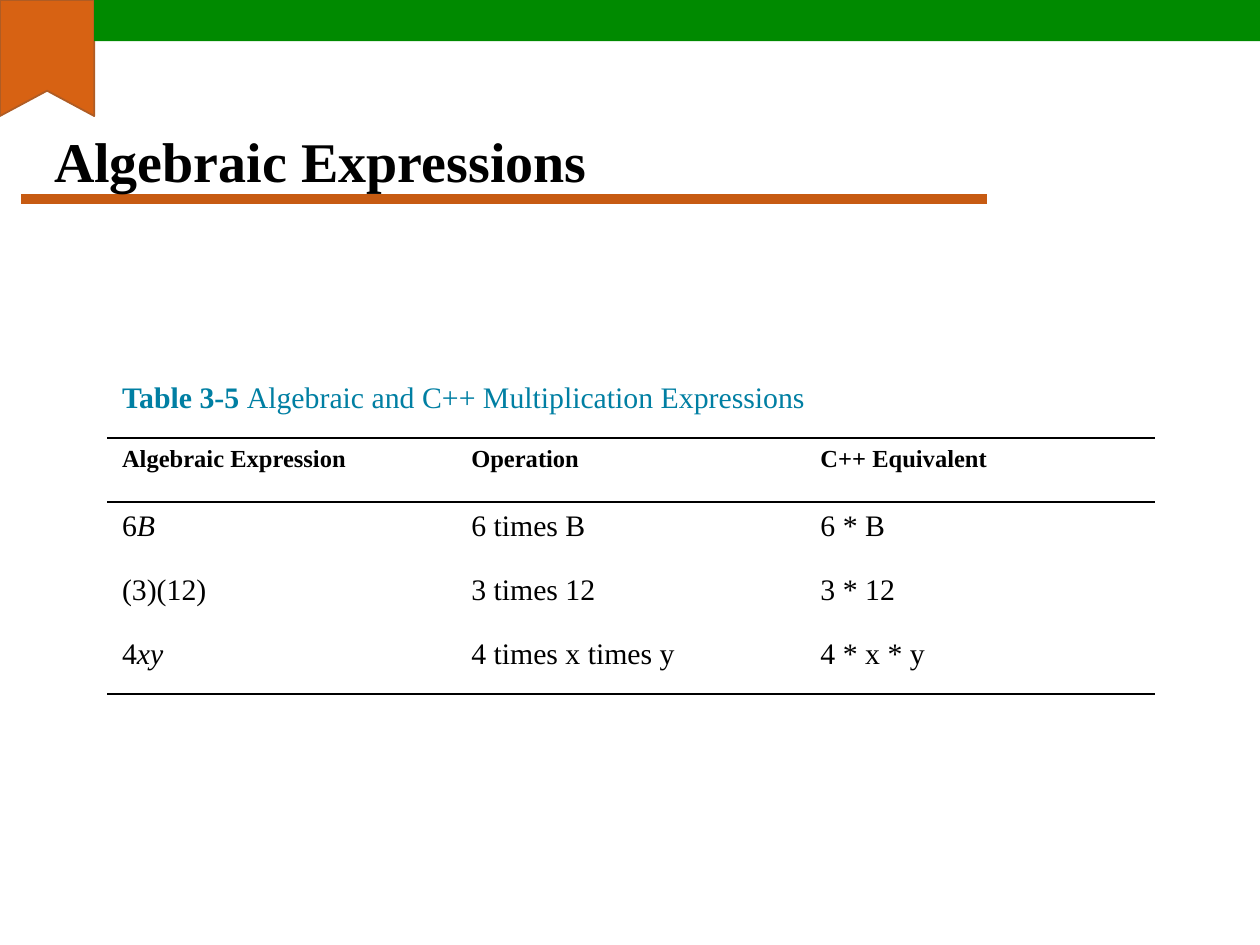
from dataclasses import dataclass

from lxml import etree
from pptx import Presentation
from pptx.dml.color import RGBColor
from pptx.enum.shapes import MSO_CONNECTOR, MSO_SHAPE
from pptx.enum.text import MSO_ANCHOR
from pptx.oxml.ns import qn
from pptx.util import Cm, Pt

STRAIGHT = MSO_CONNECTOR.STRAIGHT
RECTANGLE = MSO_SHAPE.RECTANGLE
MIDDLE = MSO_ANCHOR.MIDDLE


@dataclass(frozen=True)
class Theme:
    font: str = "Times New Roman"
    black: str = "000000"
    caption: str = "007FA3"
    bar: str = "008A00"
    ribbon: str = "D76213"
    ribbon_edge: str = "AF5C24"
    underline: str = "C75B12"
    title_size: int = 32
    body_size: int = 17
    header_size: int = 14


@dataclass(frozen=True)
class Span:
    text: str
    bold: bool = False
    italic: bool = False


THEME = Theme()

CAPTION = [Span("Table 3-5 ", bold=True),
           Span("Algebraic and C++ Multiplication Expressions")]
HEADERS = ["Algebraic Expression", "Operation", "C++ Equivalent"]
EXPRESSIONS = [
    [[Span("6"), Span("B", italic=True)], [Span("6 times B")], [Span("6 * B")]],
    [[Span("(3)(12)")], [Span("3 times 12")], [Span("3 * 12")]],
    [[Span("4"), Span("xy", italic=True)], [Span("4 times x times y")], [Span("4 * x * y")]],
]
ROWS = [[CAPTION], [[Span(header, bold=True)] for header in HEADERS], *EXPRESSIONS]
RULED_BELOW = {0, 1, len(ROWS) - 1}

RIBBON_WIDTH, RIBBON_HEIGHT, RIBBON_NOTCH = Cm(1.9), Cm(2.34), Cm(1.83)
COLUMN_WIDTH, ROW_HEIGHT = Cm(7.04), Cm(1.29)
CELL_FORMAT = {"margin_left": Cm(0.3), "margin_right": Cm(0.3),
               "margin_top": Cm(0.15), "margin_bottom": Cm(0.15)}


def write_spans(paragraph, spans: list[Span], size: int, color: str) -> None:
    for span in spans:
        run = paragraph.add_run()
        run.text = span.text
        font_format = {"name": THEME.font, "size": Pt(size),
                       "bold": span.bold, "italic": span.italic}
        for attribute, value in font_format.items():
            setattr(run.font, attribute, value)
        run.font.color.rgb = RGBColor.from_string(color)


def paint(shape, fill: str, edge: str | None = None) -> None:
    shape.shadow.inherit = False
    shape.fill.solid()
    shape.fill.fore_color.rgb = RGBColor.from_string(fill)
    if edge is None:
        shape.line.fill.background()
    else:
        shape.line.color.rgb = RGBColor.from_string(edge)
        shape.line.width = Pt(1)


def set_borders(cell, top: bool, bottom: bool) -> None:
    properties = cell._tc.get_or_add_tcPr()
    sides = {"a:lnL": False, "a:lnR": False, "a:lnT": top, "a:lnB": bottom}
    for position, (tag, ruled) in enumerate(sides.items()):
        border = etree.Element(qn(tag), w=str(Pt(1)))
        if ruled:
            fill = etree.SubElement(border, qn("a:solidFill"))
            etree.SubElement(fill, qn("a:srgbClr"), val=THEME.black)
        else:
            etree.SubElement(border, qn("a:noFill"))
        properties.insert(position, border)


def draw_decoration(shapes) -> None:
    # Title underline
    underline = shapes.add_connector(STRAIGHT, Cm(0.43), Cm(4.01), Cm(19.89), Cm(4.01))
    underline.line.color.rgb = RGBColor.from_string(THEME.underline)
    underline.line.width = Pt(6)
    etree.SubElement(underline._element.spPr, qn("a:effectLst"))

    # Corner ribbon
    outline = shapes.build_freeform(0, RIBBON_HEIGHT)
    outline.add_line_segments([(0, 0), (RIBBON_WIDTH, 0), (RIBBON_WIDTH, RIBBON_HEIGHT),
                               (RIBBON_WIDTH // 2, RIBBON_NOTCH)], close=True)
    paint(outline.convert_to_shape(), THEME.ribbon, THEME.ribbon_edge)

    # Top bar
    bar = shapes.add_shape(RECTANGLE, RIBBON_WIDTH, 0, Cm(25.4) - RIBBON_WIDTH, Cm(0.83))
    paint(bar, THEME.bar)


def draw_title(shapes, title: str) -> None:
    frame = shapes.add_textbox(Cm(0.84), Cm(1.7), Cm(22.86), Cm(3.05)).text_frame
    frame.word_wrap = True
    frame.vertical_anchor = MIDDLE
    write_spans(frame.paragraphs[0], [Span(title, bold=True)], THEME.title_size, THEME.black)


def draw_table(shapes) -> None:
    table = shapes.add_table(len(ROWS), len(HEADERS), Cm(2.16), Cm(7.54),
                             COLUMN_WIDTH * len(HEADERS), ROW_HEIGHT * len(ROWS)).table
    table.first_row = table.horz_banding = False
    for column in table.columns:
        column.width = COLUMN_WIDTH

    # Rules and cell margins
    for row_index, row in enumerate(table.rows):
        row.height = ROW_HEIGHT
        for cell in row.cells:
            for attribute, value in CELL_FORMAT.items():
                setattr(cell, attribute, value)
            cell.fill.background()
            set_borders(cell, row_index - 1 in RULED_BELOW, row_index in RULED_BELOW)
    table.cell(0, 0).merge(table.cell(0, len(HEADERS) - 1))

    # Wording
    for row_index, entries in enumerate(ROWS):
        size = THEME.header_size if row_index == 1 else THEME.body_size
        color = THEME.caption if row_index == 0 else THEME.black
        for column_index, spans in enumerate(entries):
            paragraph = table.cell(row_index, column_index).text_frame.paragraphs[0]
            write_spans(paragraph, spans, size, color)


def main() -> None:
    presentation = Presentation()
    presentation.slide_width, presentation.slide_height = Cm(25.4), Cm(19.05)
    shapes = presentation.slides.add_slide(presentation.slide_layouts[6]).shapes
    draw_decoration(shapes)
    draw_title(shapes, "Algebraic Expressions")
    draw_table(shapes)
    presentation.save("out.pptx")


if __name__ == "__main__":
    main()
